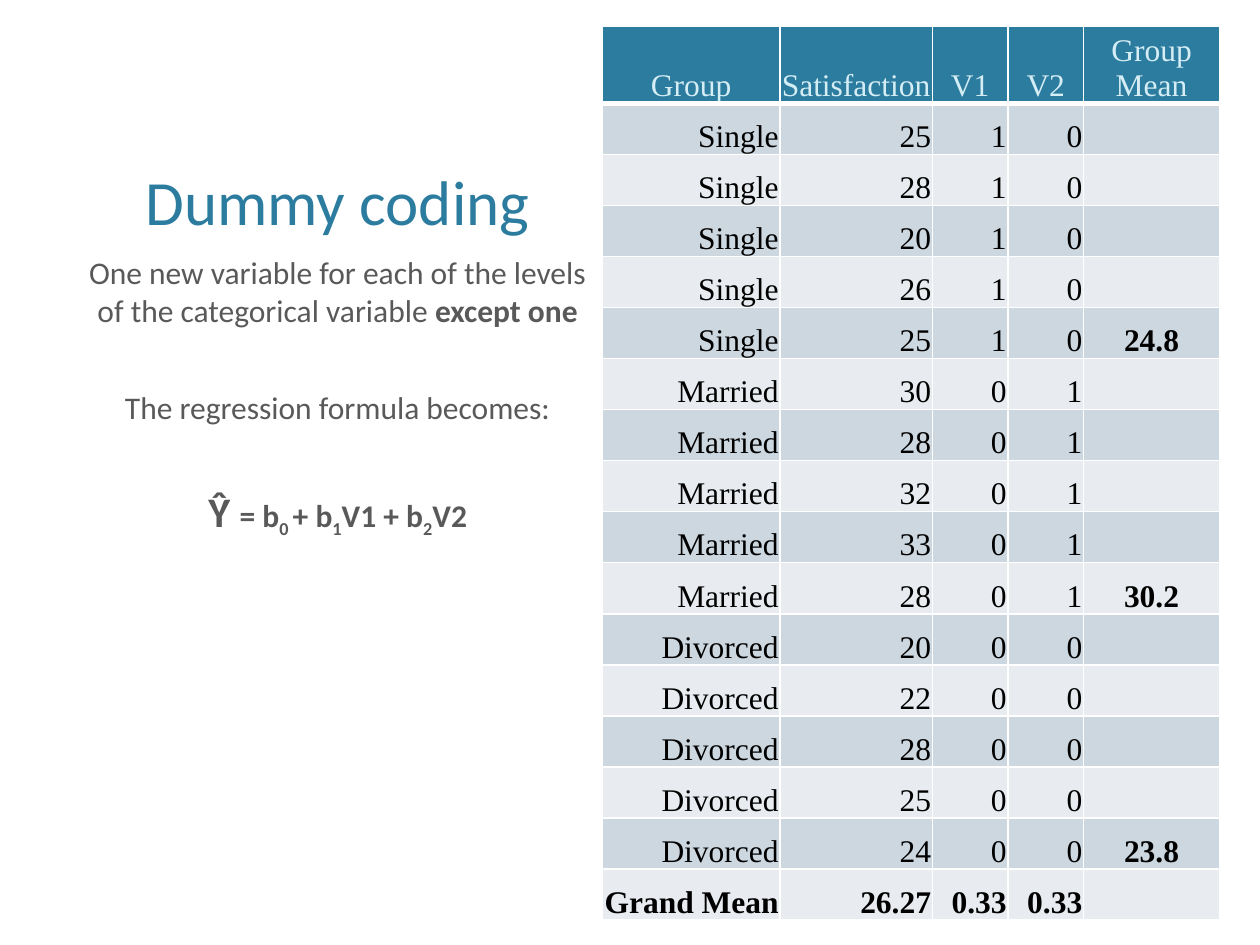
"""Build a slide explaining dummy coding beside its data table."""
from dataclasses import dataclass

from lxml.etree import SubElement
from pptx import Presentation
from pptx.dml.color import RGBColor
from pptx.enum.text import MSO_ANCHOR, PP_ALIGN
from pptx.oxml.ns import qn
from pptx.util import Inches, Pt


@dataclass(frozen=True)
class Theme:
    accent: str = "2C7C9F"
    body: str = "595959"
    header_text: str = "D5EDF4"
    cell_text: str = "000000"
    bands: tuple = ("CDD7DF", "E8ECF0")
    border: str = "FFFFFF"
    text_font: str = "Calibri"
    table_font: str = "Times New Roman"
    title_size: int = 36
    body_size: int = 18
    symbol_size: int = 24
    paragraph_gap: int = 34
    thin: int = 1
    thick: int = 3


THEME = Theme()
SLIDE_WIDTH, SLIDE_HEIGHT = 10, 7.5
TEXT_LEFT, TEXT_WIDTH = 0.58, 4.2
TITLE_TOP, TITLE_HEIGHT = 0.67, 1.27
BODY_TOP, BODY_HEIGHT = 1.96, 4.07
TABLE_LEFT, TABLE_TOP, TABLE_HEIGHT = TEXT_LEFT + TEXT_WIDTH, 0.21, 6.89
COLUMN_WIDTHS = (1.41, 1.21, 0.6, 0.6, 1.08)
CELL_MARGIN = 0.01

TITLE = [[("Dummy coding", "")]]
BODY = [
    [("One new variable for each of the levels of the categorical variable ", ""),
     ("except one", "bold")],
    [("The regression formula becomes:", "")],
    [("Ŷ ", "bold symbol"), ("= b", "bold"), ("0 ", "bold sub"), ("+ b", "bold"),
     ("1", "bold sub"), ("V1 + b", "bold"), ("2", "bold sub"), ("V2", "bold")],
]
HEADER = ("Group", "Satisfaction", "V1", "V2", "Group Mean")
GROUPS = [
    ("Single", (25, 28, 20, 26, 25), ("1", "0"), "24.8"),
    ("Married", (30, 28, 32, 33, 28), ("0", "1"), "30.2"),
    ("Divorced", (20, 22, 28, 25, 24), ("0", "0"), "23.8"),
]
TOTALS = ("Grand Mean", "26.27", "0.33", "0.33", "")


def table_rows():
    """Return the header, one row per observation, and the totals."""
    rows = [HEADER]
    for name, scores, codes, mean in GROUPS:
        last = len(scores) - 1
        rows += [(name, str(score), *codes, mean if index == last else "")
                 for index, score in enumerate(scores)]
    return rows + [TOTALS]


def add_run(paragraph, text, font_name, size, color, bold=False):
    """Add one formatted run and return it."""
    run = paragraph.add_run()
    run.text = text
    run.font.name = font_name
    run.font.size = Pt(size)
    run.font.bold = bold
    run.font.color.rgb = RGBColor.from_string(color)
    return run


def add_text(slide, top, height, paragraphs, size, color, anchor):
    """Add a centred text box in the left column."""
    shape = slide.shapes.add_textbox(
        Inches(TEXT_LEFT), Inches(top), Inches(TEXT_WIDTH), Inches(height))
    frame = shape.text_frame
    frame.word_wrap = True
    frame.vertical_anchor = anchor
    for index, runs in enumerate(paragraphs):
        paragraph = frame.add_paragraph() if index else frame.paragraphs[0]
        paragraph.alignment = PP_ALIGN.CENTER
        if index:
            paragraph.space_before = Pt(THEME.paragraph_gap)
        for text, style in runs:
            run_size = THEME.symbol_size if "symbol" in style else size
            run = add_run(paragraph, text, THEME.text_font, run_size, color, "bold" in style)
            if "sub" in style:
                run.font._element.set("baseline", "-25000")


def set_borders(cell, row):
    """Draw white cell borders, thick between the header and the data."""
    properties = cell._tc.get_or_add_tcPr()
    widths = {
        "a:lnL": THEME.thin,
        "a:lnR": THEME.thin,
        "a:lnT": THEME.thick if row == 1 else THEME.thin,
        "a:lnB": THEME.thick if row == 0 else THEME.thin,
    }
    for position, (tag, width) in enumerate(widths.items()):
        line = SubElement(properties, qn(tag), w=str(Pt(width)))
        fill = SubElement(line, qn("a:solidFill"))
        SubElement(fill, qn("a:srgbClr"), val=THEME.border)
        properties.insert(position, line)


def fill_cell(cell, text, row, column):
    """Format one table cell according to its row and column."""
    is_header = row == 0
    is_mean = column == len(HEADER) - 1
    cell.margin_left = cell.margin_right = cell.margin_top = Inches(CELL_MARGIN)
    cell.margin_bottom = 0
    cell.vertical_anchor = MSO_ANCHOR.BOTTOM
    cell.fill.solid()
    background = THEME.accent if is_header else THEME.bands[(row - 1) % 2]
    cell.fill.fore_color.rgb = RGBColor.from_string(background)
    set_borders(cell, row)
    paragraph = cell.text_frame.paragraphs[0]
    paragraph.alignment = PP_ALIGN.CENTER if is_header or is_mean else PP_ALIGN.RIGHT
    if text:
        is_bold = not is_header and (is_mean or row == len(table_rows()) - 1)
        color = THEME.header_text if is_header else THEME.cell_text
        add_run(paragraph, text, THEME.table_font, THEME.body_size, color, is_bold)
    else:
        paragraph.font.size = Pt(THEME.body_size)


def add_data_table(slide):
    """Add the dummy-coded observations."""
    rows = table_rows()
    table = slide.shapes.add_table(
        len(rows), len(HEADER), Inches(TABLE_LEFT), Inches(TABLE_TOP),
        Inches(sum(COLUMN_WIDTHS)), Inches(TABLE_HEIGHT)).table
    table.first_row = table.horz_banding = False
    for column, width in zip(table.columns, COLUMN_WIDTHS):
        column.width = Inches(width)
    for row, texts in enumerate(rows):
        for column, text in enumerate(texts):
            fill_cell(table.cell(row, column), text, row, column)


def main():
    """Create and save the presentation."""
    presentation = Presentation()
    presentation.slide_width = Inches(SLIDE_WIDTH)
    presentation.slide_height = Inches(SLIDE_HEIGHT)
    slide = presentation.slides.add_slide(presentation.slide_layouts[6])
    add_text(slide, TITLE_TOP, TITLE_HEIGHT, TITLE,
             THEME.title_size, THEME.accent, MSO_ANCHOR.BOTTOM)
    add_data_table(slide)
    add_text(slide, BODY_TOP, BODY_HEIGHT, BODY,
             THEME.body_size, THEME.body, MSO_ANCHOR.TOP)
    presentation.save("out.pptx")


if __name__ == "__main__":
    main()
